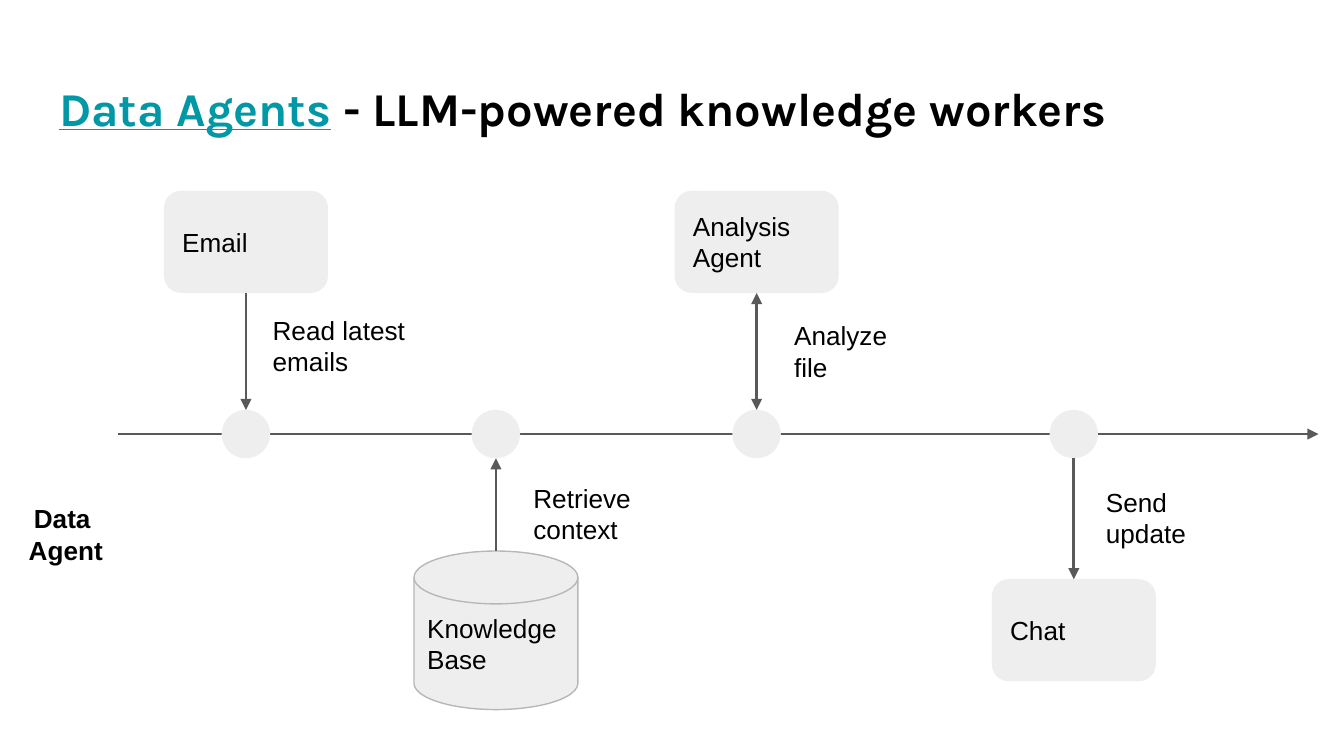
import pptx
import pptx.dml.color
import pptx.enum.shapes
import pptx.enum.text
import pptx.oxml.ns
import pptx.util
from lxml import etree

SHAPES = pptx.enum.shapes.MSO_SHAPE
ANCHOR = pptx.enum.text.MSO_ANCHOR
ALIGN = pptx.enum.text.PP_ALIGN

COLUMNS, ROWS = 100, 56.25
BOX_WIDTH, BOX_HEIGHT = 12.2, 7.6
NODE_SIZE = 3.6
AXIS_ROW = 32.3
LABEL_SIZE = (12.8, 6.7)
TOP, BOTTOM = 0, 2

# name, centre column, shape, top row, height, label, label place, arrowheads
STEPS = [
    ("Email", 18.3, SHAPES.ROUNDED_RECTANGLE, 14.2, BOX_HEIGHT,
     ["Read latest emails"], (19.3, 22.4), ["tailEnd"]),
    ("Knowledge Base", 36.9, SHAPES.FLOWCHART_MAGNETIC_DISK, 41, 11.8,
     ["Retrieve", "context"], (38.7, 34.9), ["tailEnd"]),
    ("Analysis Agent", 56.3, SHAPES.ROUNDED_RECTANGLE, 14.2, BOX_HEIGHT,
     ["Analyze", "file"], (58.1, 22.8), ["headEnd", "tailEnd"]),
    ("Chat", 79.9, SHAPES.ROUNDED_RECTANGLE, 43.1, BOX_HEIGHT,
     ["Send update"], (81.3, 35.2), ["headEnd"]),
]


def color(hex_string):
    return pptx.dml.color.RGBColor.from_string(hex_string)


def add_text(paragraph, text, font="Arial", size=14, fill="000000", bold=False, underline=False):
    run = paragraph.add_run()
    run.text = text
    run.font.name = font
    run.font.size = pptx.util.Pt(size)
    run.font.color.rgb = color(fill)
    run.font.bold = bold
    run.font.underline = underline


class Diagram:
    """Slide with a grid of columns and rows, and the style of its elements."""

    shape_fill = "EEEEEE"
    disk_line = "B7B7B7"
    arrow_line = "595959"
    link_fill = "0097A7"

    def __init__(self, presentation):
        self.presentation = presentation
        self.slide = presentation.slides.add_slide(presentation.slide_layouts[5])

    def place(self, column, row):
        return (round(self.presentation.slide_width * column / COLUMNS),
                round(self.presentation.slide_height * row / ROWS))

    def fill_frame(self, frame, lines, anchor=ANCHOR.TOP, align=ALIGN.LEFT, **style):
        frame.word_wrap = True
        frame.vertical_anchor = anchor
        frame.margin_left = frame.margin_right = pptx.util.Inches(0.1)
        frame.margin_top = frame.margin_bottom = pptx.util.Inches(0.1)
        for index, line in enumerate(lines):
            paragraph = frame.add_paragraph() if index else frame.paragraphs[0]
            paragraph.alignment = align
            add_text(paragraph, line, **style)

    def title(self, link, rest):
        title = self.slide.shapes.title
        title.left, title.top = self.place(3.4, 4.9)
        title.width, title.height = self.place(93.2, 6.3)
        frame = title.text_frame
        frame.auto_size = pptx.enum.text.MSO_AUTO_SIZE.NONE
        style = {"font": "Karla", "size": 25.2, "bold": True}
        self.fill_frame(frame, [link], fill=self.link_fill, underline=True, **style)
        add_text(frame.paragraphs[0], rest, **style)

    def shape(self, kind, column, row, width, height, line=None):
        shape = self.slide.shapes.add_shape(
            kind, *self.place(column, row), *self.place(width, height))
        shape.shadow.inherit = False
        shape.fill.solid()
        shape.fill.fore_color.rgb = color(self.shape_fill)
        if line:
            shape.line.color.rgb = color(line)
            shape.line.width = pptx.util.Pt(0.75)
        else:
            shape.line.fill.background()
        return shape

    def label(self, lines, column, row, width, height, **style):
        box = self.slide.shapes.add_textbox(
            *self.place(column, row), *self.place(width, height))
        self.fill_frame(box.text_frame, lines, **style)

    def arrow(self, start, end, heads):
        connector = self.slide.shapes.add_connector(
            pptx.enum.shapes.MSO_CONNECTOR.STRAIGHT, *self.place(*start), *self.place(*end))
        connector.line.color.rgb = color(self.arrow_line)
        connector.line.width = pptx.util.Pt(1.5)
        outline = connector.line._get_or_add_ln()
        for head in heads:
            etree.SubElement(outline, pptx.oxml.ns.qn("a:" + head), type="triangle")
        etree.SubElement(connector._element.spPr, pptx.oxml.ns.qn("a:effectLst"))
        return connector

    def step(self, name, center, kind, row, height, label, label_place, heads):
        """Node on the time axis, its box above or below, and the arrow between."""
        self.shape(SHAPES.OVAL, center - NODE_SIZE / 2, AXIS_ROW - NODE_SIZE / 2,
                   NODE_SIZE, NODE_SIZE)
        is_disk = kind == SHAPES.FLOWCHART_MAGNETIC_DISK
        box = self.shape(kind, center - BOX_WIDTH / 2, row, BOX_WIDTH, height,
                         line=self.disk_line if is_disk else None)
        self.fill_frame(box.text_frame, [name], anchor=ANCHOR.MIDDLE)
        above = row < AXIS_ROW
        box_edge = row + height if above else row
        node_edge = AXIS_ROW + (-NODE_SIZE if above else NODE_SIZE) / 2
        connector = self.arrow((center, box_edge), (center, node_edge), heads)
        if not is_disk:
            connector.begin_connect(box, BOTTOM if above else TOP)
        self.label(label, *label_place, *LABEL_SIZE)


def main():
    presentation = pptx.Presentation()
    presentation.slide_width = pptx.util.Inches(10)
    presentation.slide_height = presentation.slide_width * 9 // 16
    diagram = Diagram(presentation)
    diagram.title("Data Agents", " - LLM-powered knowledge workers")
    diagram.arrow((8.8, AXIS_ROW), (98.1, AXIS_ROW), ["tailEnd"])
    for step in STEPS:
        diagram.step(*step)
    diagram.label(["Data ", "Agent"], 0.9, 36.4, 8, 6.7,
                  anchor=ANCHOR.MIDDLE, align=ALIGN.CENTER, bold=True)
    presentation.save("out.pptx")


if __name__ == "__main__":
    main()
